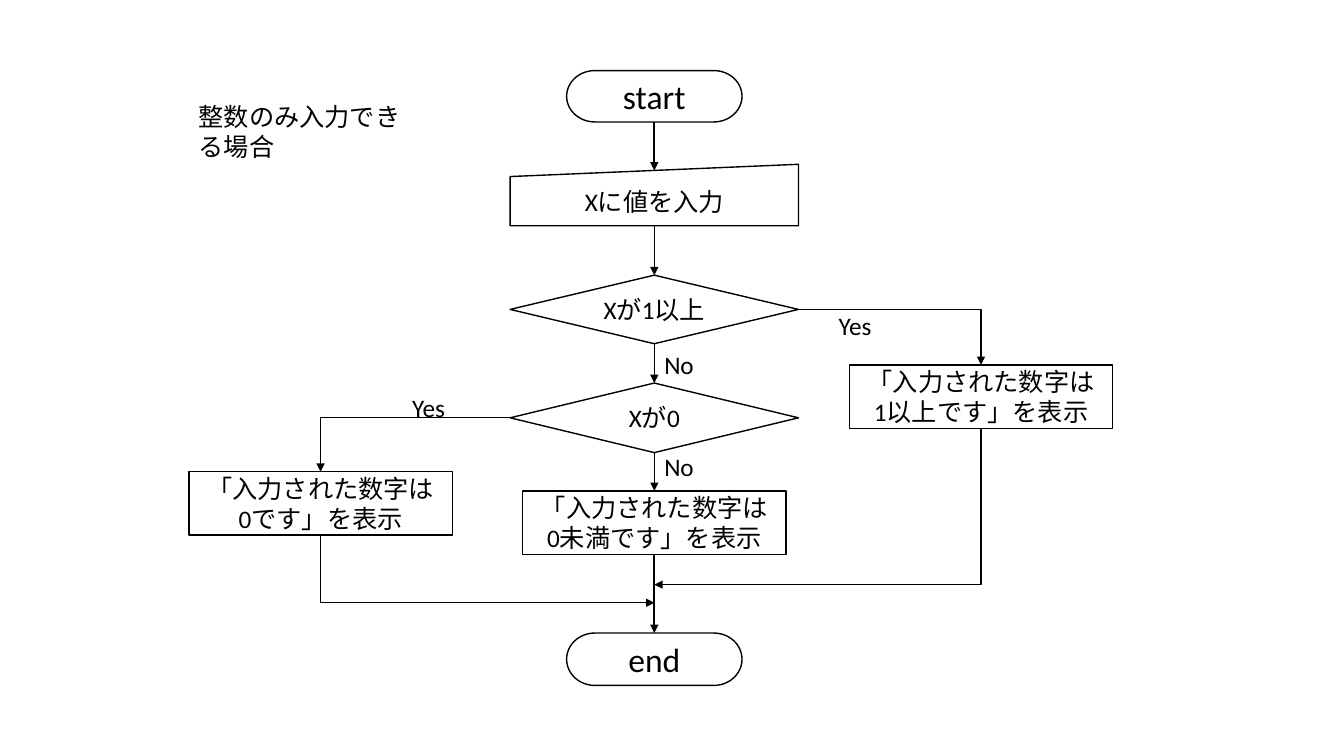
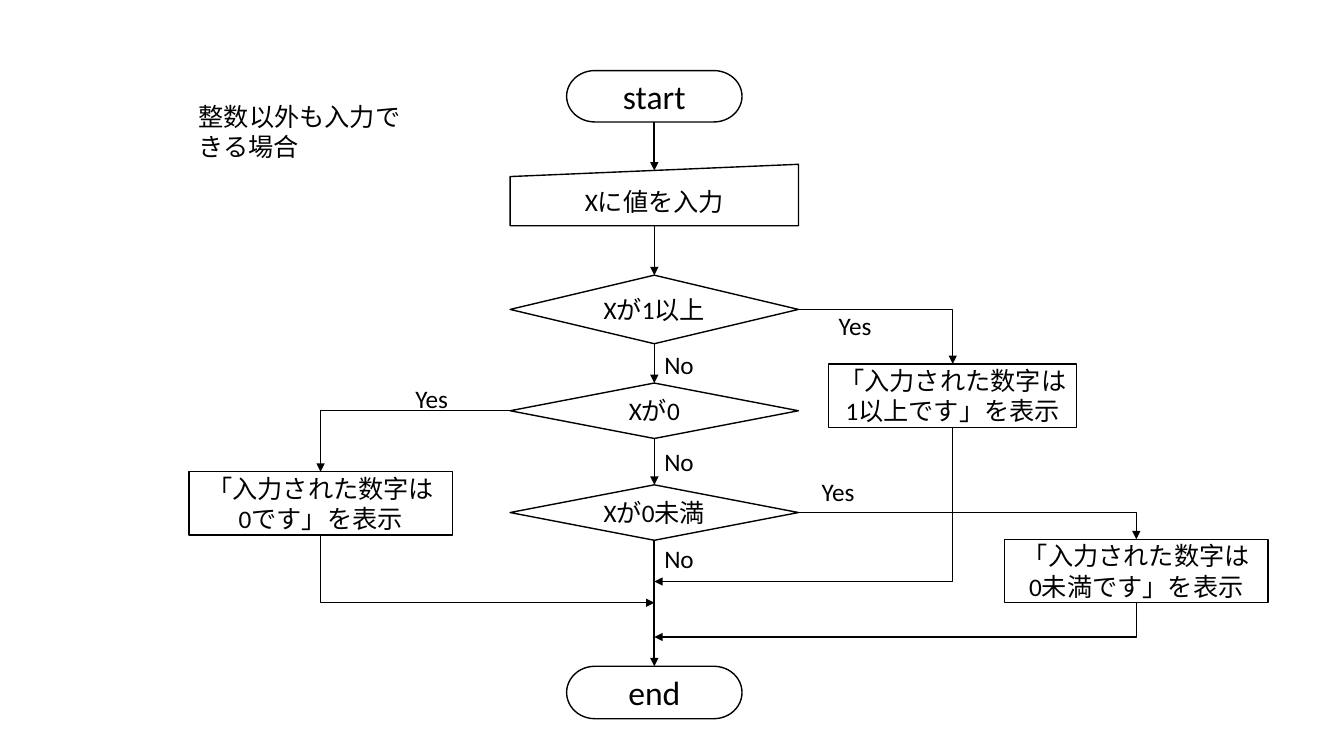
"""Build two flowcharts that classify an entered number."""
from dataclasses import dataclass

from pptx import Presentation
from pptx import util as u
from pptx.dml import color
from pptx.enum import shapes, text
from pptx.oxml import ns, xmlchemy


@dataclass(frozen=True)
class Theme:
    font: str = "Calibri"
    ink: color.RGBColor = color.RGBColor(0, 0, 0)
    paper: color.RGBColor = color.RGBColor(255, 255, 255)
    body: int = 18
    terminal: int = 24
    thin: float = 1
    thick: float = 1.5


THEME = Theme()
KIND = shapes.MSO_SHAPE
TOP, LEFT, BOTTOM, RIGHT = range(4)
SPINE = 6.49
LEFT_COLUMN = 3.18
AT_LEAST_ONE = "「入力された数字は\n1以上です」を表示"
ZERO = "「入力された数字は\n0です」を表示"
BELOW_ZERO = "「入力された数字は\n0未満です」を表示"


def write(frame, words, size=THEME.body, align=text.PP_ALIGN.LEFT, anchor=text.MSO_ANCHOR.TOP):
    frame.word_wrap = True
    frame.vertical_anchor = anchor
    para = frame.paragraphs[0]
    para.alignment = align
    for index, line in enumerate(words.split("\n")):
        if index:
            para.add_line_break()
        span = para.add_run()
        span.text = line
        span.font.name = THEME.font
        span.font.size = u.Pt(size)
        span.font.color.rgb = THEME.ink


class Flowchart:
    def __init__(self, deck):
        self.deck = deck
        self.page = None

    def new_page(self, title):
        self.page = self.deck.slides.add_slide(self.deck.slide_layouts[5])
        box = self.page.shapes.title
        box.left, box.top, box.width, box.height = map(u.Inches, (1.87, 0.95, 2.43, 0.71))
        write(box.text_frame, title)
        box.text_frame.auto_size = text.MSO_AUTO_SIZE.NONE

    def node(self, kind, words, center, top, width, height, size=THEME.body):
        box = self.page.shapes.add_shape(
            kind, *map(u.Inches, (center - width / 2, top, width, height)))
        box.shadow.inherit = False
        box.fill.solid()
        box.fill.fore_color.rgb = THEME.paper
        box.line.color.rgb = THEME.ink
        box.line.width = u.Pt(THEME.thin)
        write(box.text_frame, words, size, text.PP_ALIGN.CENTER, text.MSO_ANCHOR.MIDDLE)
        return box

    def terminal(self, words, top, height=0.52):
        return self.node(KIND.FLOWCHART_TERMINATOR, words, SPINE, top, 1.74, height, THEME.terminal)

    def decision(self, words, top, height):
        return self.node(KIND.FLOWCHART_DECISION, words, SPINE, top, 2.86, height)

    def process(self, words, center, top, width=2.61):
        return self.node(KIND.FLOWCHART_PROCESS, words, center, top, width, 0.63)

    def label(self, words, left, top, width):
        box = self.page.shapes.add_textbox(*map(u.Inches, (left, top, width, 0.4)))
        write(box.text_frame, words)

    def yes(self, left, top):
        self.label("Yes", left, top, 0.61)

    def no(self, top):
        self.label("No", SPINE, top, 1)

    def connector(self, kind, source, side, weight=THEME.thin):
        line = self.page.shapes.add_connector(kind, 0, 0, 0, 0)
        line.begin_connect(source, side)
        line.line.color.rgb = THEME.ink
        line.line.width = u.Pt(weight)
        tail = xmlchemy.OxmlElement("a:tailEnd")
        tail.set("type", "triangle")
        line.get_or_add_ln().append(tail)
        properties = line._element.spPr
        properties.append(xmlchemy.OxmlElement("a:effectLst"))
        if kind == shapes.MSO_CONNECTOR.ELBOW:
            properties.find(ns.qn("a:prstGeom")).set("prst", "bentConnector2")
        return line

    def arrow(self, source, target, weight=THEME.thin):
        line = self.connector(shapes.MSO_CONNECTOR.STRAIGHT, source, BOTTOM, weight)
        line.end_connect(target, TOP)

    def arrow_to_input(self, source, slanted):
        line = self.connector(shapes.MSO_CONNECTOR.STRAIGHT, source, BOTTOM, THEME.thick)
        line.end_x = line.begin_x
        line.end_y = slanted.top + slanted.height // 10

    def branch(self, source, side, target):
        line = self.connector(shapes.MSO_CONNECTOR.ELBOW, source, side)
        line.end_connect(target, TOP)

    def merge(self, source, height):
        """Run down from a box, then sideways to the spine, as a turned elbow."""
        line = self.connector(shapes.MSO_CONNECTOR.ELBOW, source, BOTTOM)
        start_x = source.left + source.width // 2
        start_y = source.top + source.height
        end_x, end_y = u.Inches(SPINE), u.Inches(height)
        drop, run = end_y - start_y, abs(end_x - start_x)
        line.width, line.height = drop, run
        line.left = (start_x + end_x - drop) // 2
        line.top = (start_y + end_y - run) // 2
        rightward = end_x > start_x
        frame = line._element.spPr.xfrm
        frame.flipH, frame.flipV = rightward, False
        frame.rot = 270.0 if rightward else 90.0

    def common_part(self, title, end_top, zero_height, right_center, right_top, right_width, right_merge):
        self.new_page(title)
        start = self.terminal("start", 0.7, 0.51)
        end = self.terminal("end", end_top)
        entry = self.node(KIND.FLOWCHART_MANUAL_INPUT, "Xに値を入力", SPINE, 1.63, 2.86, 0.61)
        positive = self.decision("Xが1以上", 2.73, 0.68)
        zero = self.decision("Xが0", 3.8, zero_height)
        positive_result = self.process(AT_LEAST_ONE, right_center, right_top, right_width)
        zero_result = self.process(ZERO, LEFT_COLUMN, 4.68)
        self.arrow_to_input(start, entry)
        self.arrow(entry, positive)
        self.arrow(positive, zero)
        self.branch(positive, RIGHT, positive_result)
        self.branch(zero, LEFT, zero_result)
        self.merge(positive_result, right_merge)
        self.merge(zero_result, 5.98)
        self.yes(8.22, 3.03)
        self.no(3.42)
        return zero, end


def integers_only(chart):
    zero, end = chart.common_part("整数のみ入力できる場合", 6.28, 0.69, 9.73, 3.62, 2.61, 5.8)
    negative_result = chart.process(BELOW_ZERO, SPINE, 4.87)
    chart.arrow(zero, negative_result)
    chart.arrow(negative_result, end, THEME.thick)
    chart.yes(3.99, 3.84)
    chart.no(4.43)


def any_input(chart):
    zero, end = chart.common_part("整数以外も入力できる場合", 6.61, 0.55, 9.45, 3.61, 2.46, 5.77)
    negative = chart.decision("Xが0未満", 4.81, 0.55)
    negative_result = chart.process(BELOW_ZERO, 11.27, 5.35)
    chart.arrow(zero, negative)
    chart.arrow(negative, end, THEME.thick)
    chart.branch(negative, RIGHT, negative_result)
    chart.merge(negative_result, 6.32)
    chart.yes(4.02, 3.75)
    chart.yes(8.05, 4.68)
    chart.no(4.38)
    chart.no(5.34)


def main():
    deck = Presentation()
    deck.slide_width, deck.slide_height = u.Inches(13.33), u.Inches(7.5)
    chart = Flowchart(deck)
    integers_only(chart)
    any_input(chart)
    deck.save("out.pptx")


if __name__ == "__main__":
    main()
